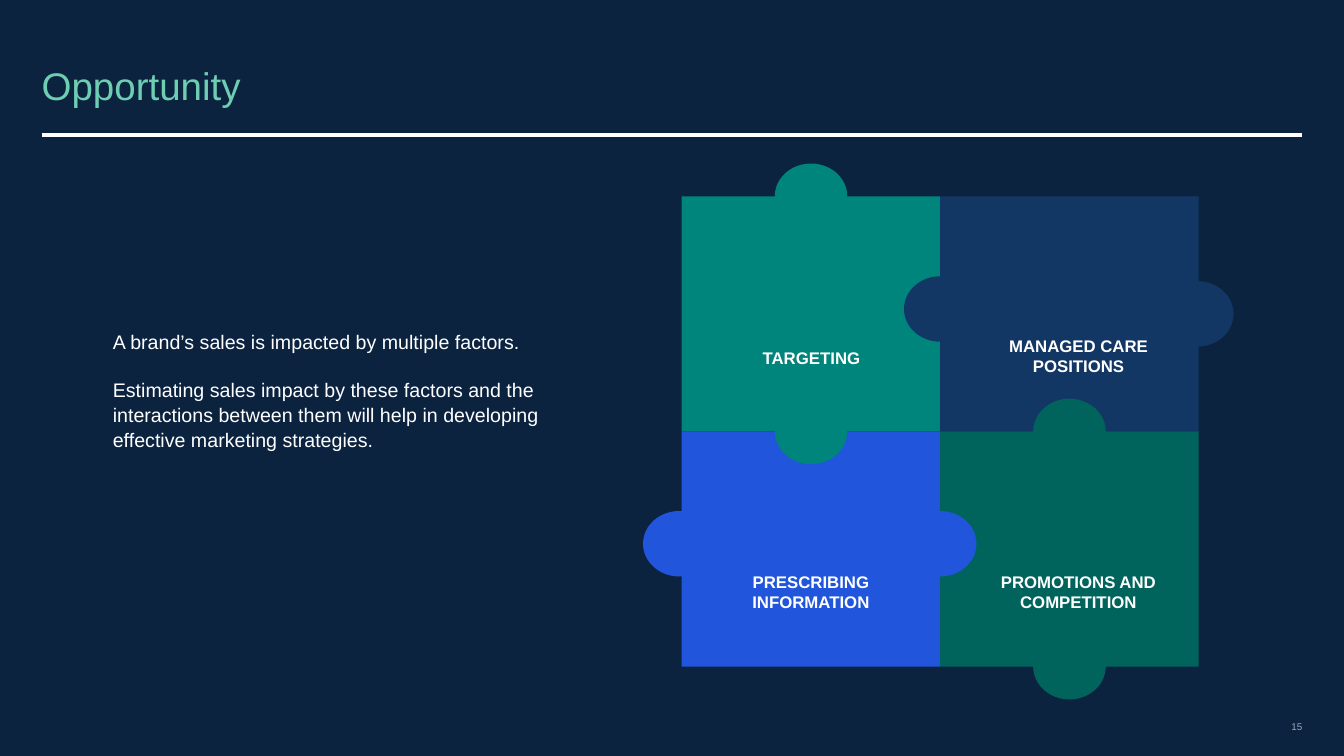
from dataclasses import dataclass

from lxml.etree import SubElement
from pptx import Presentation
from pptx.dml.color import RGBColor
from pptx.enum.shapes import MSO_CONNECTOR, MSO_SHAPE
from pptx.enum.text import MSO_ANCHOR, PP_ALIGN
from pptx.oxml.ns import qn
from pptx.util import Pt


@dataclass(frozen=True)
class Theme:
    font: str = "Arial"
    background: str = "0C2340"
    white: str = "FFFFFF"
    mint: str = "6ECEB2"
    grey: str = "9EA7B3"
    teal: str = "00857C"
    navy: str = "133765"
    blue: str = "2155DB"
    green: str = "00645D"
    title_size: float = 27.5
    body_size: float = 14
    label_size: float = 12
    number_size: float = 7


THEME = Theme()

PUZZLE_LEFT, PUZZLE_TOP = 487, 140.2
TILE_WIDTH, TILE_HEIGHT = 184.6, 168
KNOB_WIDTH, KNOB_HEIGHT = 51.8, 46.8
MIDDLE_X, MIDDLE_Y = TILE_WIDTH / 2, TILE_HEIGHT / 2

# column, row, colour, knob centres within the tile, label, label box
PIECES = [
    (0, 0, THEME.teal, [(MIDDLE_X, 0), (MIDDLE_X, TILE_HEIGHT)],
     "TARGETING", (524.2, 248.4, 110.9, 22.3)),
    (1, 0, THEME.navy, [(0, 80.5), (TILE_WIDTH - 1, MIDDLE_Y)],
     "MANAGED CARE POSITIONS", (704.2, 239.8, 132.5, 48.2)),
    (0, 1, THEME.blue, [(-1.8, 80.2), (TILE_WIDTH, 80.2)],
     "PRESCRIBING INFORMATION", (522, 408.2, 114.5, 36)),
    (1, 1, THEME.green, [(MIDDLE_X, 0), (MIDDLE_X, TILE_HEIGHT)],
     "PROMOTIONS AND COMPETITION", (692.6, 408.2, 155.5, 48.2)),
]


def add_text(slide, box, paragraphs, size, color, bold=False, align=PP_ALIGN.LEFT,
             anchor=MSO_ANCHOR.TOP, line_spacing=1.0, gap=0):
    text_frame = slide.shapes.add_textbox(*map(Pt, box)).text_frame
    text_frame.word_wrap = True
    text_frame.vertical_anchor = anchor
    text_frame.margin_left = text_frame.margin_right = Pt(0)
    text_frame.margin_top = text_frame.margin_bottom = Pt(0)
    text_frame.text = "\n".join(paragraphs)
    for index, paragraph in enumerate(text_frame.paragraphs):
        paragraph.alignment = align
        paragraph.line_spacing = line_spacing
        paragraph.space_before = Pt(gap if index else 0)
        for run in paragraph.runs:
            run.font.name = THEME.font
            run.font.size = Pt(size)
            run.font.bold = bold
            run.font.color.rgb = RGBColor.from_string(color)


def add_block(slide, kind, left, top, width, height, color):
    shape = slide.shapes.add_shape(kind, Pt(left), Pt(top), Pt(width), Pt(height))
    shape.shadow.inherit = False
    shape.fill.solid()
    shape.fill.fore_color.rgb = RGBColor.from_string(color)
    shape.line.fill.background()


def add_rule(slide, left, right, y):
    rule = slide.shapes.add_connector(MSO_CONNECTOR.STRAIGHT, Pt(left), Pt(y), Pt(right), Pt(y))
    rule.line.color.rgb = RGBColor.from_string(THEME.white)
    rule.line.width = Pt(2.5)
    SubElement(rule._element.spPr, qn("a:effectLst"))


def tile_corner(column, row):
    return PUZZLE_LEFT + column * TILE_WIDTH, PUZZLE_TOP + row * TILE_HEIGHT


def add_puzzle(slide):
    for column, row, color, *_ in PIECES:
        add_block(slide, MSO_SHAPE.RECTANGLE, *tile_corner(column, row),
                  TILE_WIDTH, TILE_HEIGHT, color)
    for column, row, color, knobs, label, label_box in PIECES:
        left, top = tile_corner(column, row)
        for x, y in knobs:
            add_block(slide, MSO_SHAPE.OVAL, left + x - KNOB_WIDTH / 2,
                      top + y - KNOB_HEIGHT / 2, KNOB_WIDTH, KNOB_HEIGHT, color)
        add_text(slide, label_box, [label], THEME.label_size, THEME.white,
                 bold=True, align=PP_ALIGN.CENTER)


def main():
    presentation = Presentation()
    presentation.slide_width, presentation.slide_height = Pt(960), Pt(540)
    slide = presentation.slides.add_slide(presentation.slide_layouts[6])
    slide.background.fill.solid()
    slide.background.fill.fore_color.rgb = RGBColor.from_string(THEME.background)

    add_rule(slide, 29.8, 930.2, 96.6)
    add_text(slide, (29.8, 29.8, 900.4, 66.8), ["Opportunity"], THEME.title_size, THEME.mint,
             anchor=MSO_ANCHOR.MIDDLE, line_spacing=0.9)
    add_text(slide, (912.2, 510.5, 18, 17.3), ["15"], THEME.number_size, THEME.grey,
             align=PP_ALIGN.RIGHT, anchor=MSO_ANCHOR.MIDDLE)
    add_puzzle(slide)
    add_text(slide, (80.6, 234.7, 339.8, 96.5), [
        "A brand’s sales is impacted by multiple factors.",
        "Estimating sales impact by these factors and the interactions between them "
        "will help in developing effective marketing strategies.",
    ], THEME.body_size, THEME.white, line_spacing=1.05, gap=16.9)

    presentation.save("out.pptx")


if __name__ == "__main__":
    main()
